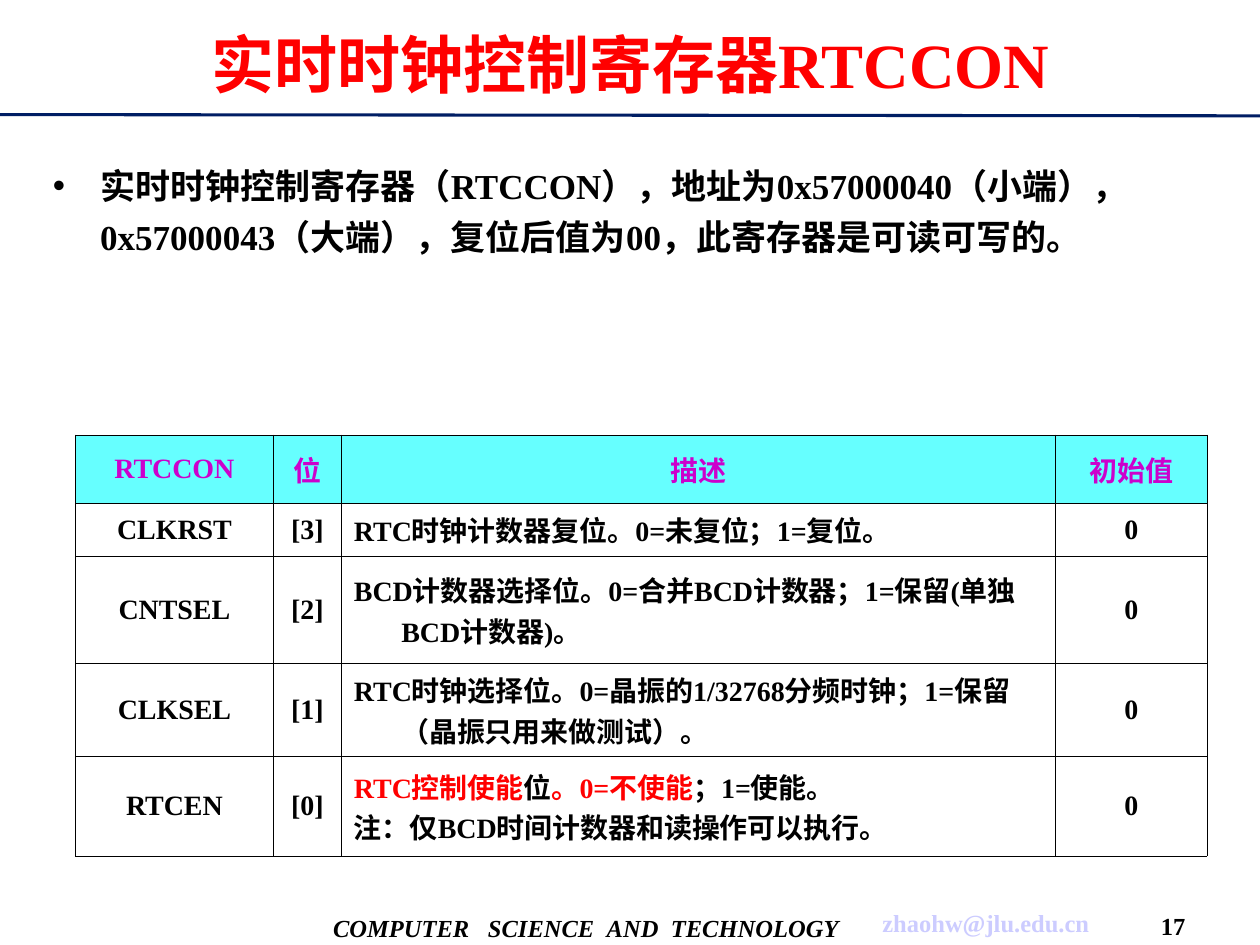
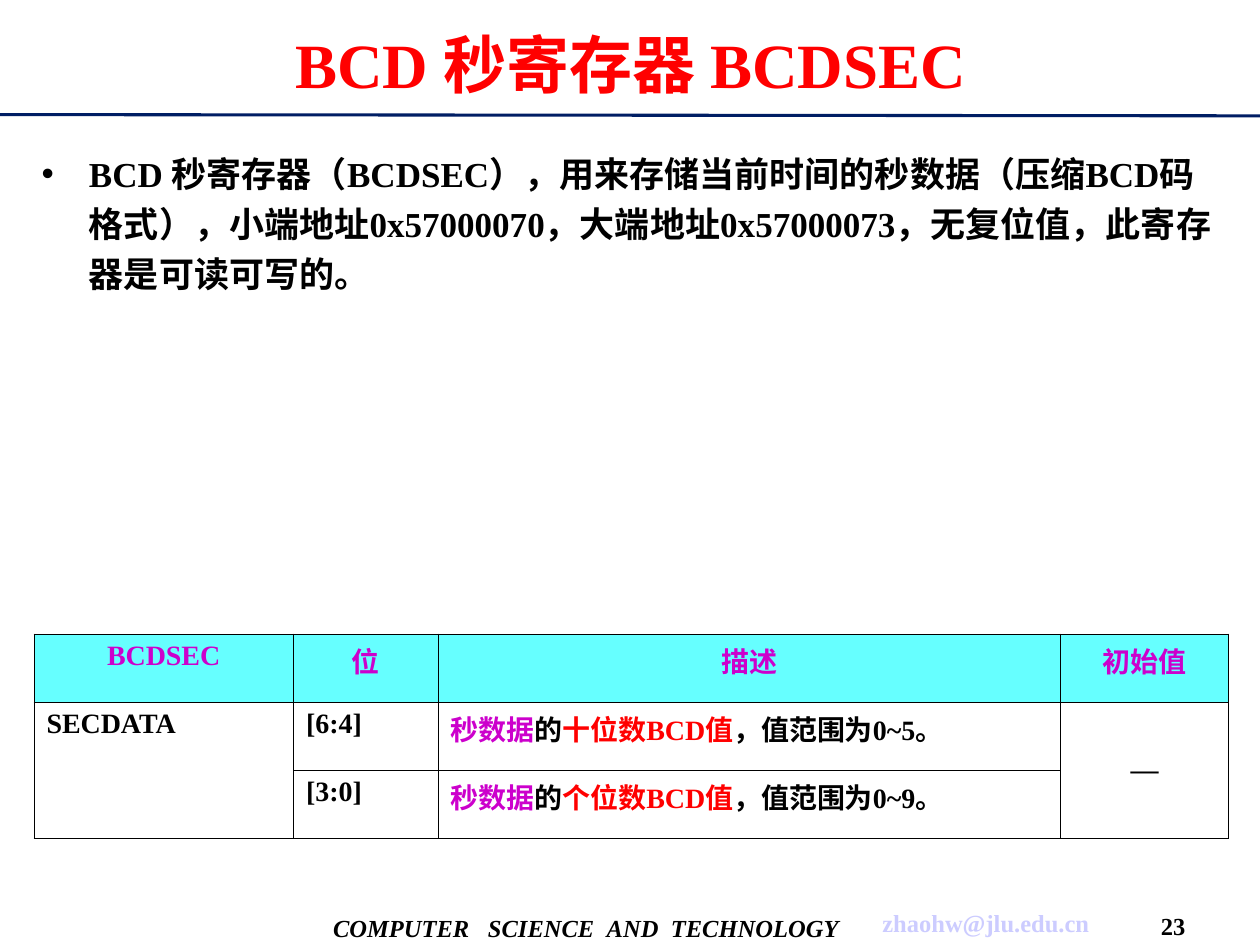
from itertools import groupby

from lxml import etree
from pptx import Presentation
from pptx.dml.color import RGBColor
from pptx.enum.shapes import MSO_CONNECTOR
from pptx.enum.text import MSO_ANCHOR, MSO_AUTO_SIZE, PP_ALIGN
from pptx.oxml.ns import qn
from pptx.util import Pt

LEFT, CENTER = PP_ALIGN.LEFT, PP_ALIGN.CENTER
TOP, MIDDLE = MSO_ANCHOR.TOP, MSO_ANCHOR.MIDDLE
STRAIGHT = MSO_CONNECTOR.STRAIGHT

BLACK = RGBColor(0x00, 0x00, 0x00)
WHITE = RGBColor(0xFF, 0xFF, 0xFF)
RED = RGBColor(0xFF, 0x00, 0x00)
NAVY = RGBColor(0x00, 0x1E, 0x64)
LILAC = RGBColor(0xCC, 0xCC, 0xFF)
MAGENTA = RGBColor(0xCC, 0x00, 0xCC)
CYAN = RGBColor(0x66, 0xFF, 0xFF)

LATIN_FONT = "Times New Roman"
CJK_FONT = "Noto Sans CJK SC"
HANGING = Pt(27)
BORDER = Pt(0.45)

TITLE_BOX = (23, 6.2, 674.6, 59.8)
FOOTER_BOX = (184.8, 514.8, 300, 30.2)
EMAIL_BOX = (498.2, 514.1, 130.3, 25.9)
NUMBER_BOX = (654.5, 517.7, 31.7, 22.3)
# Each footer word with the extra width of the gap after it
FOOTER_WORDS = [("COMPUTER", 7), ("SCIENCE", 3.5), ("AND", 3.5), ("TECHNOLOGY", 0)]


# Text helpers
def add_run(paragraph, text, size, color, name=LATIN_FONT, **extra):
    run = paragraph.add_run()
    run.text = text
    style = {"size": Pt(size), "bold": True, "name": name, **extra}
    for attribute, value in style.items():
        setattr(run.font, attribute, value)
    run.font.color.rgb = color
    properties = run._r.get_or_add_rPr()
    etree.SubElement(properties, qn("a:ea")).set("typeface", CJK_FONT)
    return properties


def is_cjk(letter):
    return ord(letter) > 0x2E80


def add_mixed_runs(paragraph, pieces, size):
    """Give Chinese and Latin stretches of each coloured piece their own font."""
    for text, color in pieces:
        for cjk, letters in groupby(text, is_cjk):
            font = CJK_FONT if cjk else LATIN_FONT
            add_run(paragraph, "".join(letters), size, color, font)


def set_hanging(paragraph):
    properties = paragraph._p.get_or_add_pPr()
    properties.set("marL", str(HANGING))
    properties.set("indent", str(-HANGING))
    return properties


def place(shape, box):
    for side, length in zip(("left", "top", "width", "height"), box):
        setattr(shape, side, Pt(length))


# Shared frame: rule, footer, e-mail, page number
def add_footer_line(slide, box):
    frame = slide.shapes.add_textbox(*map(Pt, box)).text_frame
    frame.word_wrap = False
    frame.margin_left = frame.margin_right = 0
    frame.vertical_anchor = MIDDLE
    frame.paragraphs[0].alignment = CENTER
    return frame.paragraphs[0]


def add_frame(slide, number):
    rule = slide.shapes.add_connector(STRAIGHT, Pt(0), Pt(65.5), Pt(720), Pt(66.2))
    rule.line.color.rgb = NAVY
    rule.line.width = Pt(1.75)
    etree.SubElement(rule._element.spPr, qn("a:effectLst"))

    department = add_footer_line(slide, FOOTER_BOX)
    for word, gap in FOOTER_WORDS:
        add_run(department, word, 14, BLACK, italic=True)
        if gap:
            space = add_run(department, " ", 14, BLACK, italic=True)
            space.set("spc", str(int(gap * 100)))
    add_run(add_footer_line(slide, EMAIL_BOX), "zhaohw@jlu.edu.cn", 14, LILAC)
    add_run(add_footer_line(slide, NUMBER_BOX), str(number), 14, BLACK)


# Title and description of the register
def add_title(slide, text):
    title = slide.shapes.title
    place(title, TITLE_BOX)
    frame = title.text_frame
    frame.auto_size = MSO_AUTO_SIZE.NONE
    frame.vertical_anchor = MIDDLE
    frame.paragraphs[0].alignment = CENTER
    add_run(frame.paragraphs[0], text, 36, RED)


def add_summary(slide, box, text):
    summary = slide.placeholders[1]
    place(summary, box)
    summary.text_frame.auto_size = MSO_AUTO_SIZE.NONE
    paragraph = summary.text_frame.paragraphs[0]
    paragraph.space_before = Pt(0)
    paragraph.line_spacing = 1.2
    properties = set_hanging(paragraph)
    bullet_color = etree.SubElement(properties, qn("a:buClr"))
    etree.SubElement(bullet_color, qn("a:srgbClr")).set("val", str(BLACK))
    etree.SubElement(properties, qn("a:buChar")).set("char", "•")
    add_run(paragraph, text, 20, BLACK)


# Register table
def set_borders(cell):
    properties = cell._tc.get_or_add_tcPr()
    for side in ("lnL", "lnR", "lnT", "lnB"):
        line = etree.SubElement(properties, qn(f"a:{side}"), w=str(BORDER))
        fill = etree.SubElement(line, qn("a:solidFill"))
        etree.SubElement(fill, qn("a:srgbClr")).set("val", str(BLACK))


def fill_cell(cell, content, color, align, anchor):
    """Content is a plain string or a list of paragraphs of (text, colour)."""
    cell.vertical_anchor = anchor
    lines = [content] if isinstance(content, str) else content
    for index, line in enumerate(lines):
        frame = cell.text_frame
        paragraph = frame.add_paragraph() if index else frame.paragraphs[0]
        paragraph.alignment = align
        set_hanging(paragraph)
        if isinstance(line, str):
            add_run(paragraph, line, 16, color)
        else:
            add_mixed_runs(paragraph, line, 16)


def add_register_table(slide, origin, widths, heights, rows, aligns, anchors,
                       body_fill=None, merged_columns=()):
    left, top = origin
    table = slide.shapes.add_table(
        len(rows), len(widths), Pt(left), Pt(top),
        Pt(sum(widths)), Pt(sum(heights))).table
    table.first_row = table.horz_banding = False
    for column, width in zip(table.columns, widths):
        column.width = Pt(width)
    for row, height in zip(table.rows, heights):
        row.height = Pt(height)

    for r, contents in enumerate(rows):
        for c, content in enumerate(contents):
            cell = table.cell(r, c)
            set_borders(cell)
            fill = body_fill if r else CYAN
            if fill is None:
                cell.fill.background()
            else:
                cell.fill.solid()
                cell.fill.fore_color.rgb = fill
            if content and r:
                fill_cell(cell, content, BLACK, aligns[c], anchors[c])
            elif content:
                fill_cell(cell, content, MAGENTA, CENTER, anchors[0])
    for c in merged_columns:
        table.cell(1, c).merge(table.cell(len(rows) - 1, c))


def add_register_slide(deck, number, title, summary_box, summary, table):
    slide = deck.slides.add_slide(deck.slide_layouts[1])
    add_frame(slide, number)
    add_title(slide, title)
    add_summary(slide, summary_box, summary)
    add_register_table(slide, **table)


def header(register):
    return [register, "位", "描述", "初始值"]


def seconds_digit(digit, value_range):
    return [[("秒数据", MAGENTA), ("的", BLACK), (f"{digit}BCD值", RED),
             (f"，值范围为{value_range}。", BLACK)]]


CONTROL_TABLE = {
    "origin": (43.2, 248.6),
    "widths": (113, 38.9, 408.2, 86.4),
    "heights": (38.9, 30.3, 61.2, 53.3, 56.9),
    "aligns": (CENTER, CENTER, LEFT, CENTER),
    "anchors": (MIDDLE,) * 4,
    "rows": [
        header("RTCCON"),
        ["CLKRST", "[3]",
         [[("RTC时钟计数器复位。0=未复位；1=复位。", BLACK)]], "0"],
        ["CNTSEL", "[2]",
         [[("BCD计数器选择位。0=合并BCD计数器；1=保留(单独BCD计数器)。", BLACK)]], "0"],
        ["CLKSEL", "[1]",
         [[("RTC时钟选择位。0=晶振的1/32768分频时钟；1=保留（晶振只用来做测试）。",
            BLACK)]], "0"],
        ["RTCEN", "[0]",
         [[("RTC控制使能", RED), ("位", BLACK), ("。0=不使能", RED),
           ("；1=使能。", BLACK)],
          [("注：仅BCD时间计数器和读操作可以执行。", BLACK)]], "0"],
    ],
}

SECONDS_TABLE = {
    "origin": (19.4, 362.2),
    "widths": (148.3, 82.8, 355.7, 95.8),
    "heights": (38.9,) * 3,
    "aligns": (LEFT, LEFT, LEFT, CENTER),
    "anchors": (TOP, TOP, TOP, MIDDLE),
    "body_fill": WHITE,
    "merged_columns": (0, 3),
    "rows": [
        header("BCDSEC"),
        ["SECDATA", "[6:4]", seconds_digit("十位数", "0~5"), "—"],
        [None, "[3:0]", seconds_digit("个位数", "0~9"), None],
    ],
}


def main():
    deck = Presentation()
    deck.slide_width, deck.slide_height = Pt(720), Pt(540)
    add_register_slide(
        deck, 17, "实时时钟控制寄存器RTCCON", (23, 85.7, 669.6, 85),
        "实时时钟控制寄存器（RTCCON），地址为0x57000040（小端），"
        "0x57000043（大端），复位后值为00，此寄存器是可读可写的。",
        CONTROL_TABLE)
    add_register_slide(
        deck, 23, "BCD 秒寄存器 BCDSEC", (16.6, 78.5, 687.6, 110.2),
        "BCD 秒寄存器（BCDSEC），用来存储当前时间的秒数据（压缩BCD码格式），"
        "小端地址0x57000070，大端地址0x57000073，无复位值，此寄存器是可读可写的。",
        SECONDS_TABLE)
    deck.save("out.pptx")


if __name__ == "__main__":
    main()
